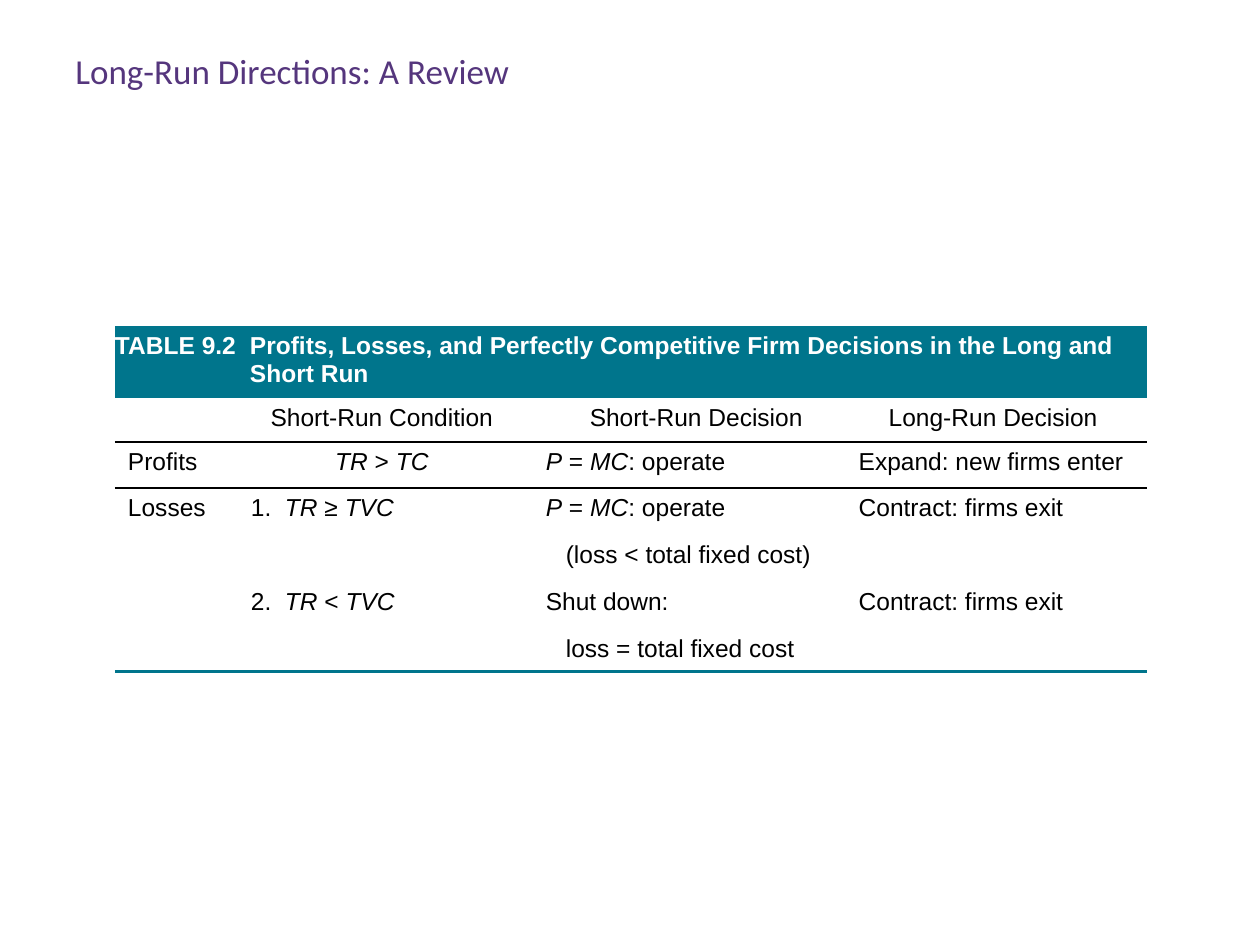
from pptx import Presentation
from pptx.dml.color import RGBColor
from pptx.enum.text import PP_ALIGN as Align
from pptx.oxml import parse_xml as to_xml
from pptx.oxml.ns import nsdecls, qn
from pptx.util import Pt

PX = 914400 // 126
TEAL, BLACK, WHITE, PURPLE = "00758C", "000000", "FFFFFF", "55367D"
NO_STYLE = "{2D5ABB26-0587-4C30-8999-92F81FD0307C}"
COLS = [105, 31, 262, 4, 28, 284, 4, 4, 307]
ROWS = [72, 44, 46, 47, 47, 47, 41]
LABEL, COND, DECIDE, LONG = 0, 2, 5, 8  # columns that hold text
STEP = 20  # indent of a second line
NUMBER = 34  # hang of a numbered condition


def px(n):
    return int(n * PX)


def rgb(hex_code):
    return RGBColor.from_string(hex_code)


def add_runs(para, runs, size, face, color, bold=False):
    """Add runs; a piece given as a one-item tuple is italic."""
    for piece in runs:
        slant = isinstance(piece, tuple)
        run = para.add_run()
        run.text = piece[0] if slant else piece
        font = run.font
        font.size, font.name, font.bold, font.italic = Pt(size), face, bold, slant
        font.color.rgb = rgb(color)


def set_hang(para, left):
    props = para._p.get_or_add_pPr()
    props.set("marL", str(px(left)))
    props.set("indent", str(-px(left)))


def set_edge(cell, side, color, width):
    line = to_xml(
        f'<a:{side} {nsdecls("a")} w="{int(Pt(width))}"><a:solidFill>'
        f'<a:srgbClr val="{color}"/></a:solidFill></a:{side}>')
    cell._tc.get_or_add_tcPr().insert(0, line)


def fill_cell(cell, runs, left=0, hang=0, align=None, color=BLACK, bold=False):
    para = cell.text_frame.paragraphs[0]
    para.alignment = align
    para.space_before = para.space_after = Pt(1.4)
    cell.margin_left = px(left)
    if hang:
        set_hang(para, hang)
    add_runs(para, runs, 14, "Arial", color, bold)


def add_title(slide):
    box = slide.shapes.add_textbox(px(63), px(43), px(882), px(53))
    frame = box.text_frame
    frame.word_wrap = True
    para = frame.paragraphs[0]
    set_hang(para, 63)
    add_runs(para, ["Long-Run Directions: A Review"], 20, "Calibri", PURPLE)


def add_grid(slide):
    frame = slide.shapes.add_table(len(ROWS), len(COLS), px(115), px(326),
                                   px(sum(COLS)), px(sum(ROWS)))
    table = frame.table
    table.first_row = table.horz_banding = False
    table._tbl.tblPr.find(qn("a:tableStyleId")).text = NO_STYLE
    for col, width in zip(table.columns, COLS):
        col.width = px(width)
    for row, height in zip(table.rows, ROWS):
        row.height = px(height)

    # Plain cells, small enough not to stretch their rows
    for cell in table.iter_cells():
        cell.margin_left = cell.margin_right = 0
        cell.fill.background()
        end = cell.text_frame.paragraphs[0]._p.get_or_add_endParaRPr()
        end.set("sz", "1400")
    return table


def add_rules(table):
    for col in range(len(COLS)):
        set_edge(table.cell(1, col), "lnB", BLACK, 1)
        set_edge(table.cell(2, col), "lnT", BLACK, 1)
        set_edge(table.cell(len(ROWS) - 1, col), "lnB", TEAL, 2.25)


def fill_head(table):
    # Banner over all columns
    banner = table.cell(0, 0)
    banner.merge(table.cell(0, len(COLS) - 1))
    banner.fill.solid()
    banner.fill.fore_color.rgb = rgb(TEAL)
    text = ("TABLE 9.2\tProfits, Losses, and Perfectly Competitive Firm "
            "Decisions in the Long and Short Run")
    fill_cell(banner, [text], hang=135, color=WHITE, bold=True)

    # Column heads
    for col, text, left in [(COND, "Short-Run Condition", 0),
                            (DECIDE, "Short-Run Decision", 17),
                            (LONG, "Long-Run Decision", 0)]:
        fill_cell(table.cell(1, col), [text], left, align=Align.CENTER)


def fill_body(table):
    operate = [("P",), " = ", ("MC",), ": operate"]
    leave = ["Contract: firms exit"]

    for row, text in [(2, "Profits"), (3, "Losses")]:
        fill_cell(table.cell(row, LABEL), [text], left=13)

    # Short-run conditions
    fill_cell(table.cell(2, COND), [("TR",), " > ", ("TC",)],
              align=Align.CENTER)
    for row, number, sign in [(3, "1.", "≥"), (5, "2.", "<")]:
        runs = [f"{number}\t", ("TR",), f" {sign} ", ("TVC",)]
        fill_cell(table.cell(row, COND), runs, hang=NUMBER)

    # Short-run decisions
    for row, runs, left in [(2, operate, 0), (3, operate, 0),
                            (4, ["(loss < total fixed cost)"], STEP),
                            (5, ["Shut down:"], 0),
                            (6, ["loss = total fixed cost"], STEP)]:
        fill_cell(table.cell(row, DECIDE), runs, left)

    # Long-run decisions
    for row, runs in [(2, ["Expand: new firms enter"]), (3, leave), (5, leave)]:
        fill_cell(table.cell(row, LONG), runs, left=19)


def main():
    deck = Presentation()
    deck.slide_width, deck.slide_height = px(1260), px(945)
    slide = deck.slides.add_slide(deck.slide_layouts[6])
    table = add_grid(slide)
    add_rules(table)
    fill_head(table)
    fill_body(table)
    add_title(slide)
    deck.save("out.pptx")


if __name__ == "__main__":
    main()
